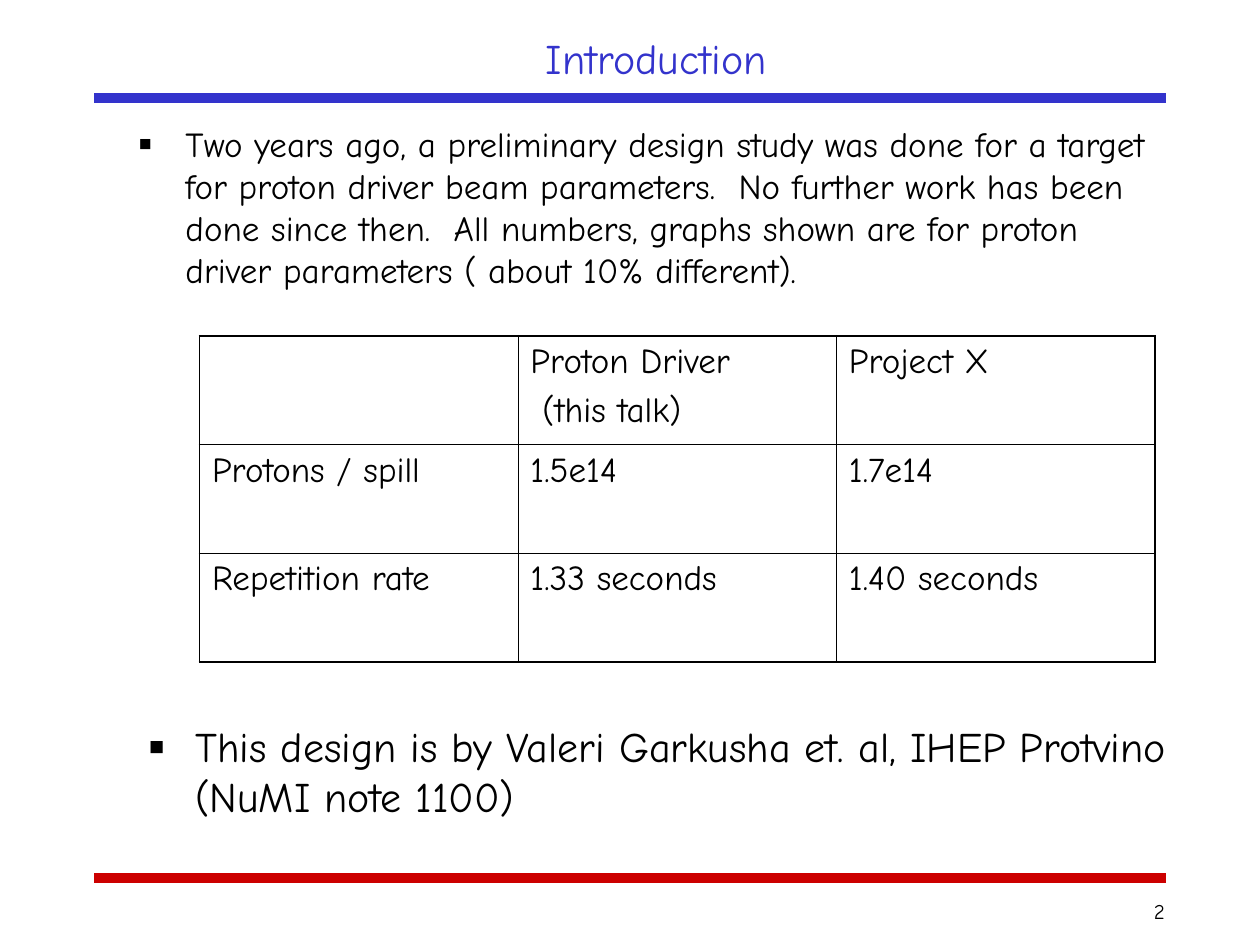
from lxml.etree import SubElement
from pptx import Presentation
from pptx.dml.color import RGBColor
from pptx.enum.shapes import MSO_CONNECTOR
from pptx.enum.text import MSO_ANCHOR, MSO_AUTO_SIZE, PP_ALIGN
from pptx.oxml import parse_xml
from pptx.oxml.ns import nsdecls, qn
from pptx.util import Cm, Pt

COLORS = {"blue": "3333CC", "red": "CC0000", "black": "000000"}
FONT = "Comic Neue"


def format_text(paragraph, size, color="black"):
    settings = {"name": FONT, "size": Pt(size), "bold": False}
    for attribute, value in settings.items():
        setattr(paragraph.font, attribute, value)
    paragraph.font.color.rgb = RGBColor.from_string(COLORS[color])


presentation = Presentation()
presentation.slide_width = Cm(25.4)
presentation.slide_height = Cm(19.05)
slide = presentation.slides.add_slide(presentation.slide_layouts[5])
shapes = slide.shapes

# Rules under the title and above the page number
for height, color in [(17.7, "red"), (1.98, "blue")]:
    rule = shapes.add_connector(
        MSO_CONNECTOR.STRAIGHT, Cm(1.9), Cm(height), Cm(23.5), Cm(height))
    rule.line.color.rgb = RGBColor.from_string(COLORS[color])
    rule.line.width = Pt(6)
    SubElement(rule.element.spPr, qn("a:effectLst"))

# Title
title = shapes.title
title_place = {"left": 4.24, "top": 0.43, "width": 17.98, "height": 1.47}
for attribute, value in title_place.items():
    setattr(title, attribute, Cm(value))
title.text_frame.text = "Introduction"
title.text_frame.auto_size = MSO_AUTO_SIZE.NONE
title.text_frame.vertical_anchor = MSO_ANCHOR.MIDDLE
title.text_frame.paragraphs[0].alignment = PP_ALIGN.CENTER
format_text(title.text_frame.paragraphs[0], 24, "blue")

# Bulleted statements and page number
statements = [
    ("Two years ago, a preliminary design study was done for a target for "
     "proton driver beam parameters.  No further work has been done since "
     "then.  All numbers, graphs shown are for proton driver parameters "
     "( about 10% different).", (2.54, 2.34, 21.39, 4.34), 20, True),
    ("This design is by Valeri Garkusha et. al, IHEP Protvino "
     "(NuMI note 1100)", (2.74, 14.4, 21.6, 2.34), 24, True),
    ("2", (21.39, 17.98, 2.34, 1.07), 12, False),
]
for wording, place, size, bulleted in statements:
    frame = shapes.add_textbox(*map(Cm, place)).text_frame
    frame.word_wrap = True
    frame.text = wording
    paragraph = frame.paragraphs[0]
    if bulleted:
        properties = paragraph._p.get_or_add_pPr()
        properties.set("marL", str(Cm(0.95)))
        properties.set("indent", str(-Cm(0.95)))
        bullet_color = SubElement(properties, qn("a:buClr"))
        SubElement(bullet_color, qn("a:srgbClr"), val=COLORS["black"])
        SubElement(properties, qn("a:buFont"), typeface=FONT)
        SubElement(properties, qn("a:buChar"), char="▪")
    else:
        paragraph.alignment = PP_ALIGN.RIGHT
    format_text(paragraph, size)

# Comparison of beam parameters
parameters = [
    ["", "Proton Driver\n(this talk)", "Project X"],
    ["Protons / spill", "1.5e14", "1.7e14"],
    ["Repetition rate", "1.33 seconds", "1.40 seconds"],
]
table = shapes.add_table(
    3, 3, Cm(4.02), Cm(6.77), Cm(19.26), Cm(6.57)).table
table.first_row = False
table.horz_banding = False
for column in table.columns:
    column.width = Cm(6.42)
for row in table.rows:
    row.height = Cm(2.19)

for row_index, row_values in enumerate(parameters):
    for column_index, value in enumerate(row_values):
        cell = table.cell(row_index, column_index)
        cell.text = value
        cell.fill.background()
        for paragraph in cell.text_frame.paragraphs:
            format_text(paragraph, 20)
        outer_edges = {
            "lnL": column_index == 0,
            "lnR": column_index == 2,
            "lnT": row_index == 0,
            "lnB": row_index == 2,
        }
        for position, (edge, outer) in enumerate(outer_edges.items()):
            width = Pt(1.08 if outer else 0.45)
            border = parse_xml(
                f'<a:{edge} {nsdecls("a")} w="{width}"><a:solidFill>'
                f'<a:srgbClr val="{COLORS["black"]}"/>'
                f'</a:solidFill></a:{edge}>')
            cell._tc.get_or_add_tcPr().insert(position, border)

talk_note = table.cell(0, 1).text_frame.paragraphs[1]
talk_note.space_before = Pt(5)
talk_note._p.get_or_add_pPr().set("marL", str(Cm(0.24)))

presentation.save("out.pptx")
